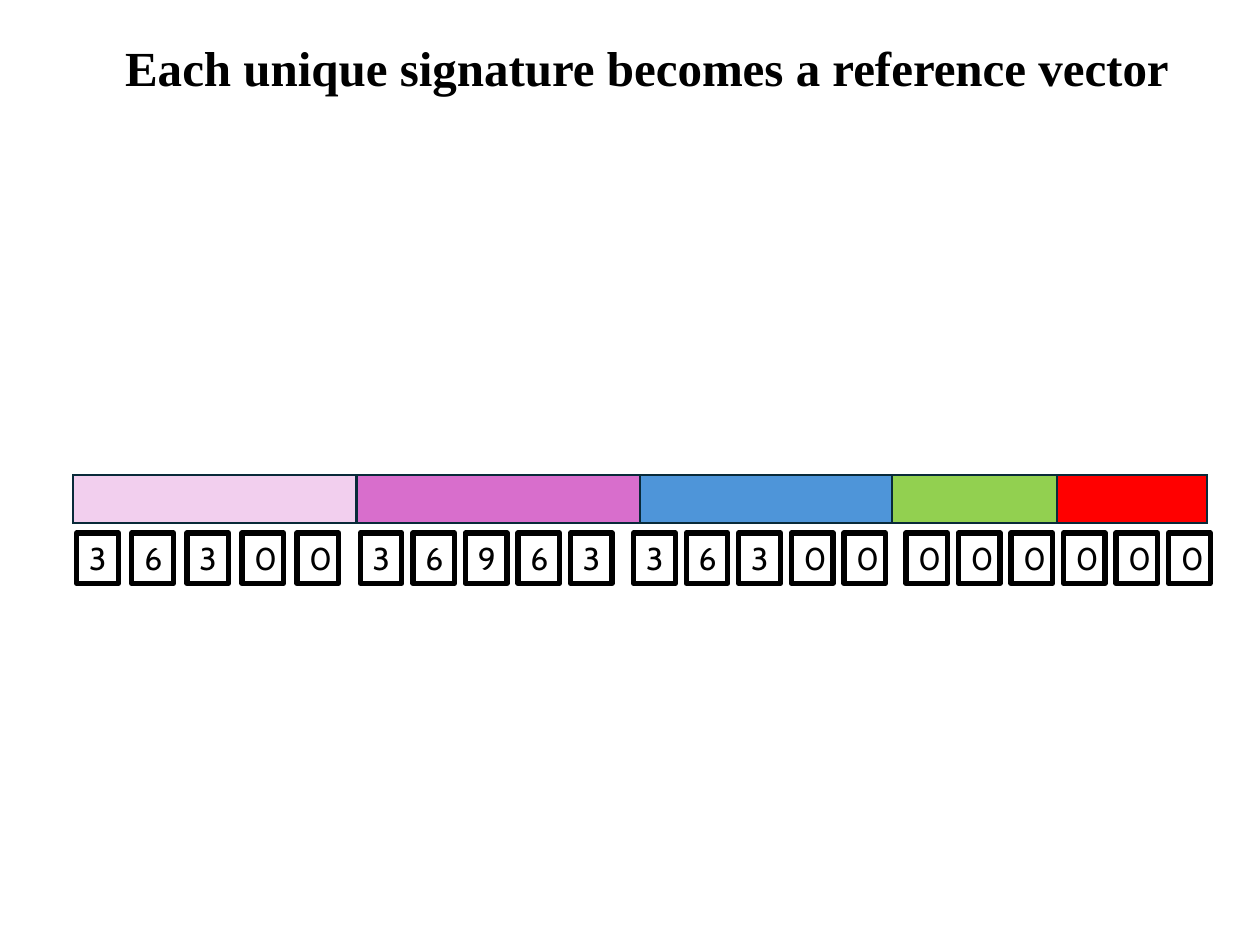
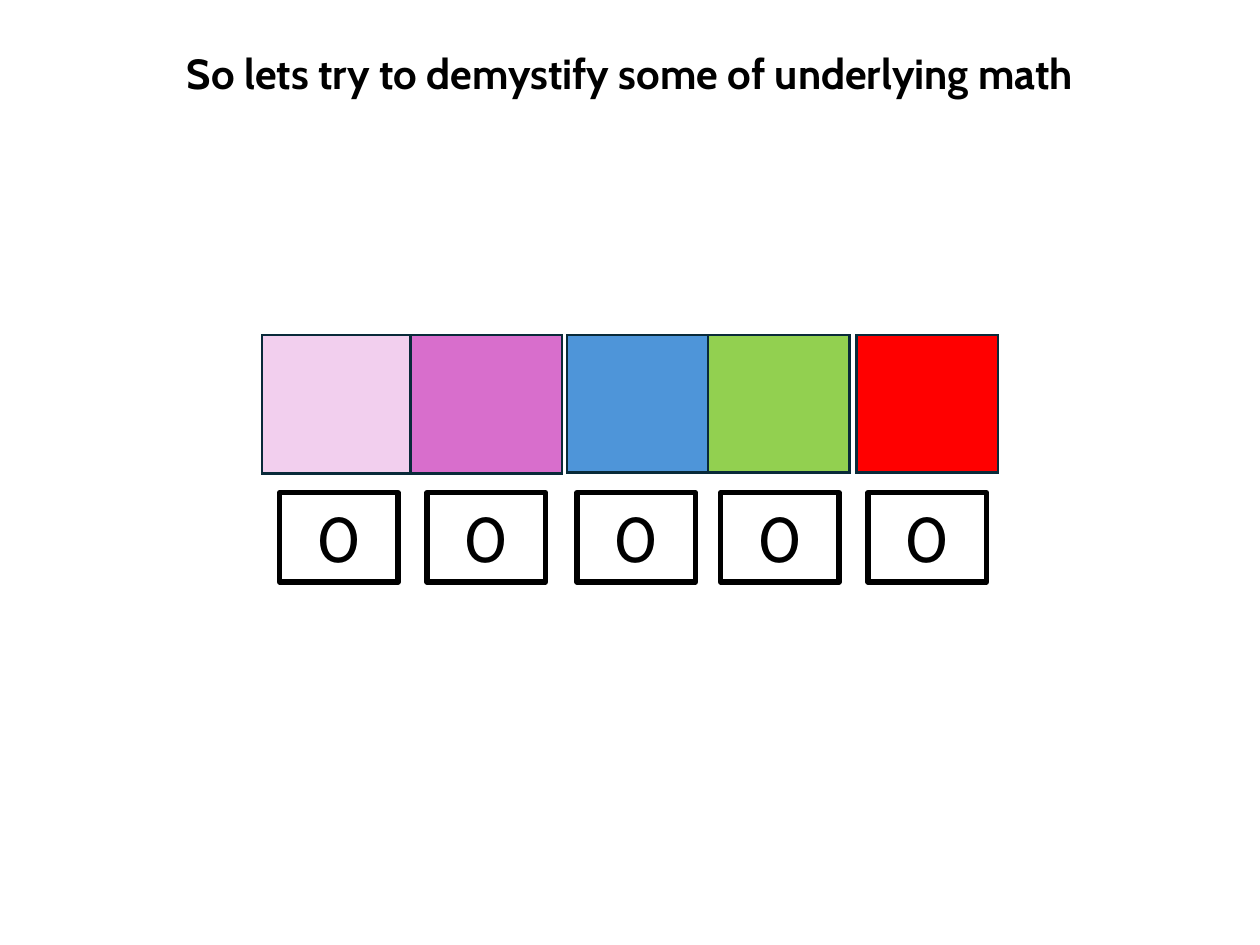
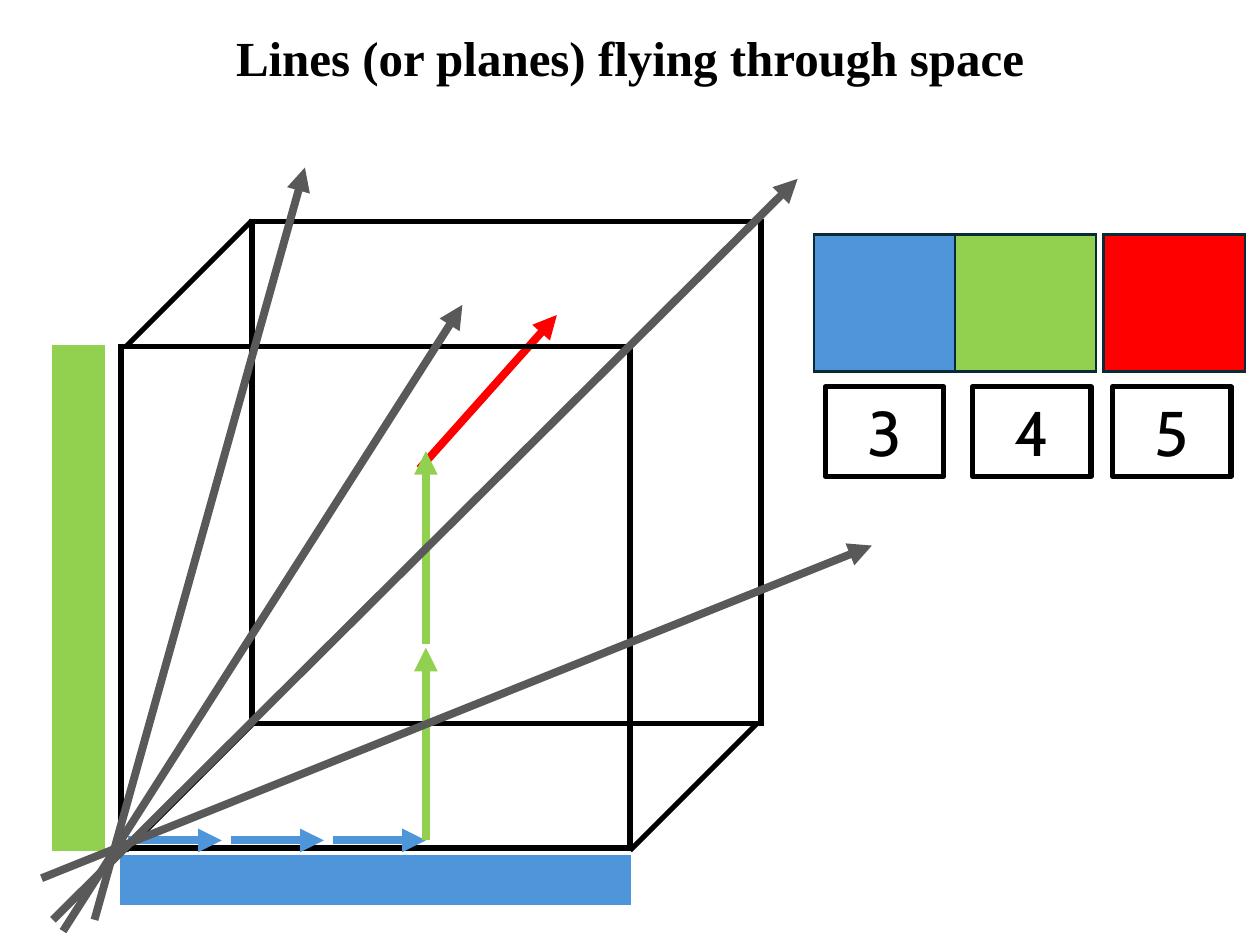
from lxml.etree import SubElement
from pptx import Presentation
from pptx.dml.color import RGBColor
from pptx.enum.shapes import MSO_CONNECTOR as CONN, MSO_SHAPE as SHAPE
from pptx.enum.text import MSO_ANCHOR as ANCHOR, MSO_AUTO_SIZE as FIT, PP_ALIGN as ALIGN
from pptx.oxml.ns import qn
from pptx.util import Inches, Pt

COLS, ROWS = 100, 75
CELL = Inches(0.1)

BLACK = RGBColor(0x00, 0x00, 0x00)
GRAY = RGBColor(0x59, 0x59, 0x59)
NAVY = RGBColor(0x09, 0x2A, 0x39)
PINK = RGBColor(0xF2, 0xCF, 0xEE)
ORCHID = RGBColor(0xD8, 0x6E, 0xCC)
BLUE = RGBColor(0x4E, 0x95, 0xD9)
GREEN = RGBColor(0x92, 0xD0, 0x50)
RED = RGBColor(0xFF, 0x00, 0x00)

SANS, SERIF = "Cabin", "Times New Roman"
TILE_SIZE = (9.4, 7.1)
SMALL_TILE_SIZE = (3.3, 4)
PAIR = [(0, 11.8, PINK), (11.8, 12, ORCHID)]
TRIO = [(0, 11.2, BLUE), (11.2, 11.2, GREEN), (23, 11.2, RED)]


def grid(*cells):
    """Turn grid columns and rows into slide lengths."""
    return [round(c * CELL) for c in cells]


def add_text(tf, text, font, size, align, bold=False):
    """Write one black run into a text frame."""
    tf.word_wrap = True
    p = tf.paragraphs[0]
    p.alignment = align
    r = p.add_run()
    r.text = text
    r.font.name, r.font.size, r.font.bold = font, Pt(size), bold
    r.font.color.rgb = BLACK


def add_title_slide(prs, text, box, font=SERIF, size=28):
    """Add a slide whose title fills the given box."""
    s = prs.slides.add_slide(prs.slide_layouts[5])
    sp = s.shapes.title
    sp.left, sp.top, sp.width, sp.height = grid(*box)
    tf = sp.text_frame
    tf.auto_size, tf.vertical_anchor = FIT.NONE, ANCHOR.TOP
    add_text(tf, text, font, size, ALIGN.CENTER, bold=True)
    return s


def add_rect(s, box, fill=None, line=BLACK, width=3.0, miter=True):
    """Add an outlined rectangle, empty unless a fill is given."""
    sp = s.shapes.add_shape(SHAPE.RECTANGLE, *grid(*box))
    sp.shadow.inherit = False
    if fill is None:
        sp.fill.background()
    else:
        sp.fill.solid()
        sp.fill.fore_color.rgb = fill
    sp.line.color.rgb, sp.line.width = line, Pt(width)
    if miter:
        ln = sp._element.spPr.find(qn("a:ln"))
        SubElement(ln, qn("a:miter"), lim="800000")
    return sp


def add_line(s, start, end, color=BLACK, width=3.0, arrow=False):
    """Add a straight line, with an arrowhead at its end on request."""
    c = s.shapes.add_connector(CONN.STRAIGHT, *grid(*start, *end))
    c.line.color.rgb, c.line.width = color, Pt(width)
    spPr = c._element.spPr
    if arrow:
        SubElement(spPr.find(qn("a:ln")), qn("a:tailEnd"), type="triangle")
    SubElement(spPr, qn("a:effectLst"))


def add_arrow(s, start, end, color):
    """Add a thick arrow."""
    add_line(s, start, end, color, 4.5, arrow=True)


def add_swatches(s, box, parts):
    """Place coloured blocks, given as offset, width and colour, in a box."""
    x, y, h = box
    for dx, w, color in parts:
        add_rect(s, (x + dx, y, w, h), color, NAVY, 1.5)


def add_tile(s, pos, digit, size=TILE_SIZE, pt=36, align=ALIGN.CENTER):
    """Add a framed digit."""
    sp = add_rect(s, (*pos, *size), miter=False)
    add_text(sp.text_frame, digit, SANS, pt, align)


def add_tiles(s, pos, offsets, digits):
    """Place large digit tiles at offsets from a position."""
    x, y = pos
    for dx, digit in zip(offsets, digits):
        add_tile(s, (x + dx, y), digit)


def add_signature(s, pos):
    """Draw the long colour bar with its groups of small digit tiles."""
    x, y = pos
    parts, dx = [], 0
    for w, color in [(22.5, PINK), (22.5, ORCHID), (20, BLUE), (13.1, GREEN), (11.9, RED)]:
        parts.append((dx, w, color))
        dx += w
    groups = [(0.3, 4.37, "36300"), (22.8, 4.17, "36963"),
              (44.5, 4.17, "36300"), (66.1, 4.17, "000000")]
    for dx, pitch, digits in groups:
        for i, digit in enumerate(digits):
            add_tile(s, (x + dx + i * pitch, y + 4.6), digit, SMALL_TILE_SIZE, 18, ALIGN.LEFT)
    add_swatches(s, (x, y, 3.8), parts)


def add_space(s, pos):
    """Draw the cube, its axis bars, the steps inside it and the rays."""
    x, y = pos
    w, h, depth = 40.4, 39.8, 10

    def at(dx, dy):
        """Shift a point into the cube's box."""
        return x + dx, y + dy

    add_arrow(s, at(23.7, 19.6), at(34.6, 7.4), RED)
    for dx, dy in [(10.4, 0), (0, 9.9)]:
        add_rect(s, (*at(dx, dy), w, h))
    add_rect(s, (*at(-5.4, 9.9), 4, 39.9), GREEN, GREEN, 1.5)
    add_rect(s, (*at(0, 50.4), w, 3.7), BLUE, BLUE, 1.5)
    for i in range(3):
        dx = 0.6 + 8.1 * i
        add_arrow(s, at(dx, 49.1), at(dx + 7.4, 49.1), BLUE)
    for i in range(2):
        dy = 49.1 - 15.6 * i
        add_arrow(s, at(24.2, dy), at(24.2, dy - 15.3), GREEN)
    for dx in (0.4, 40.4):
        for dy in (9.9, 49.9):
            add_line(s, at(dx, dy), at(dx + depth, dy - depth))


def add_rays(s, pos):
    """Draw the gray arrows that cross the cube's near corner."""
    x, y = pos
    rays = [(-5.4, 55.4, 53.7, -3.4), (-2.1, 55.4, 14.6, -4.3),
            (-6.3, 52.1, 59.6, 25.7), (-4.6, 56.3, 27.1, 6.6)]
    for x1, y1, x2, y2 in rays:
        add_arrow(s, (x + x1, y + y1), (x + x2, y + y2), GRAY)


def signature_slide(prs):
    """Build the slide with the signature as a reference vector."""
    s = add_title_slide(prs, "Each unique signature becomes a reference vector", (3, 2.5, 96.7, 5.7))
    add_signature(s, (5.8, 37.7))


def math_slide(prs):
    """Build the slide with five colours at zero."""
    s = add_title_slide(prs, "So lets try to demystify some of underlying math",
                        (10, 3.3, 80, 5), SANS, 24)
    add_swatches(s, (20.8, 26.6, 11), PAIR)
    add_swatches(s, (45, 26.6, 10.9), TRIO)
    add_tiles(s, (20.8, 39.1), (1.4, 13.1, 25, 36.4, 48.1), "00000")


def space_slide(prs):
    """Build the slide with lines through a cube."""
    s = add_title_slide(prs, "Lines (or planes) flying through space", (10, 1.7, 80, 5.7))
    cube = (9.6, 17.6)
    add_space(s, cube)
    add_swatches(s, (64.6, 18.6, 10.9), TRIO)
    add_tiles(s, (64.6, 30.7), (0.9, 12.6, 23.7), "345")
    add_rays(s, cube)


def main():
    """Build and save the slides."""
    prs = Presentation()
    prs.slide_width, prs.slide_height = grid(COLS, ROWS)
    signature_slide(prs)
    math_slide(prs)
    space_slide(prs)
    prs.save("out.pptx")


if __name__ == "__main__":
    main()
